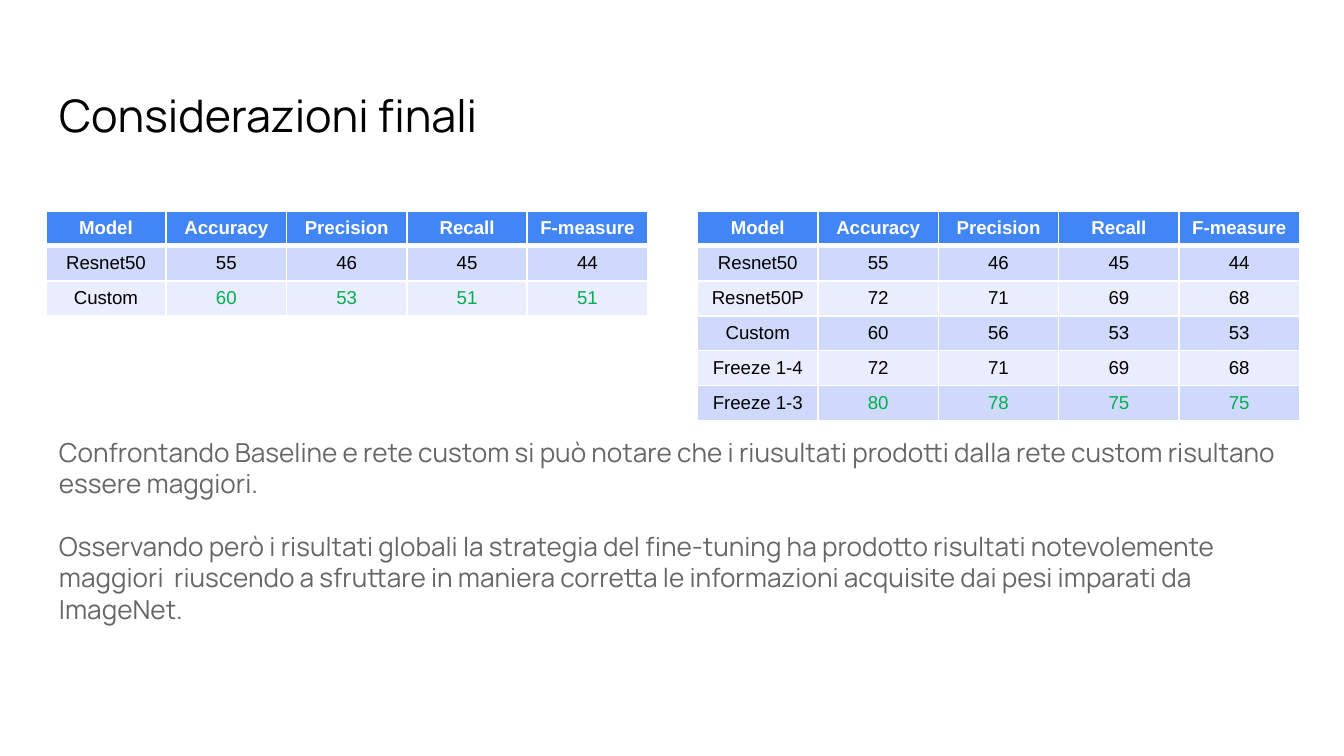
"""Builds the closing slide with two metric tables and a written conclusion."""
from lxml.etree import SubElement
from pptx import Presentation
from pptx.dml.color import RGBColor
from pptx.enum.text import MSO_ANCHOR as Anchor, MSO_AUTO_SIZE as AutoSize, PP_ALIGN as Align
from pptx.oxml.ns import qn
from pptx.util import Inches, Pt

TITLE = "Considerazioni finali"
CONCLUSIONS = [
    "Confrontando Baseline e rete custom si può notare che i riusultati prodotti "
    "dalla rete custom risultano essere maggiori.",
    "Osservando però i risultati globali la strategia del fine-tuning ha prodotto "
    "risultati notevolemente maggiori  riuscendo a sfruttare in maniera corretta le "
    "informazioni acquisite dai pesi imparati da ImageNet.",
]
HEADER = ("Model", "Accuracy", "Precision", "Recall", "F-measure")
BASELINE_RESULTS = [
    ("Resnet50", 55, 46, 45, 44),
    ("Custom", 60, 53, 51, 51),
]
GLOBAL_RESULTS = [
    ("Resnet50", 55, 46, 45, 44),
    ("Resnet50P", 72, 71, 69, 68),
    ("Custom", 60, 56, 53, 53),
    ("Freeze 1-4", 72, 71, 69, 68),
    ("Freeze 1-3", 80, 78, 75, 75),
]
TABLES = [(0.34, BASELINE_RESULTS), (5.19, GLOBAL_RESULTS)]
TABLE_TOP, TABLE_WIDTH, ROW_HEIGHT = 1.57, 4.48, 0.26
BLACK, WHITE, GREY, GREEN, BLUE = "000000", "FFFFFF", "666666", "00B050", "4285F4"
BANDS = ("CFD9FB", "E9EDFD")


def style_font(font, name, size, color, bold=False):
    font.name, font.size, font.bold = name, Pt(size), bold
    font.color.rgb = RGBColor.from_string(color)


def fill_text(box, paragraphs, size, color, anchor, gap=0):
    frame = box.text_frame
    frame.text = "\n".join(paragraphs)
    frame.word_wrap, frame.auto_size, frame.vertical_anchor = True, AutoSize.NONE, anchor
    frame.margin_left = frame.margin_right = Inches(0.1)
    frame.margin_top = frame.margin_bottom = Inches(0.1)
    for index, para in enumerate(frame.paragraphs):
        para.alignment = Align.LEFT
        para.space_before = Pt(gap if index else 0)
        for span in para.runs:
            style_font(span.font, "Manrope", size, color)


def add_borders(cell, row):
    widths = {"L": 1, "R": 1, "T": 3 if row == 1 else 1, "B": 3 if row == 0 else 1}
    properties = cell._tc.get_or_add_tcPr()
    for side, width in widths.items():
        line = SubElement(properties, qn(f"a:ln{side}"), w=str(Pt(width)))
        SubElement(SubElement(line, qn("a:solidFill")), qn("a:srgbClr"), val=WHITE)


def fill_cell(cell, value, row, color, fill):
    add_borders(cell, row)
    cell.margin_left = cell.margin_right = Inches(0.09)
    cell.fill.solid()
    cell.fill.fore_color.rgb = RGBColor.from_string(fill)
    cell.text_frame.text = str(value)
    para = cell.text_frame.paragraphs[0]
    para.alignment = Align.CENTER
    style_font(para.runs[0].font, "Arial", 10, color, bold=row == 0)


def add_results(page, left, results):
    rows = [HEADER, *results]
    table = page.shapes.add_table(
        len(rows), len(HEADER), Inches(left), Inches(TABLE_TOP),
        Inches(TABLE_WIDTH), Inches(ROW_HEIGHT * len(rows))).table
    for row, values in enumerate(rows):
        table.rows[row].height = Inches(ROW_HEIGHT)
        fill = BANDS[(row - 1) % 2] if row else BLUE
        for column, value in enumerate(values):
            best = row == len(results) and column > 0
            color = WHITE if row == 0 else GREEN if best else BLACK
            fill_cell(table.cell(row, column), value, row, color, fill)


def main():
    deck = Presentation()
    deck.slide_width, deck.slide_height = Inches(10), Inches(10 * 9 / 16)
    page = deck.slides.add_slide(deck.slide_layouts[5])
    title = page.shapes.title
    title.left, title.top = Inches(0.34), Inches(0.6)
    title.width, title.height = Inches(9.32), Inches(0.55)
    fill_text(title, [TITLE], 24, BLACK, Anchor.BOTTOM)
    body = page.shapes.add_textbox(Inches(0.34), Inches(3.145), Inches(9.32), Inches(2.11))
    fill_text(body, CONCLUSIONS, 14, GREY, Anchor.TOP, gap=16.8)
    for left, results in TABLES:
        add_results(page, left, results)
    deck.save("out.pptx")


if __name__ == "__main__":
    main()
